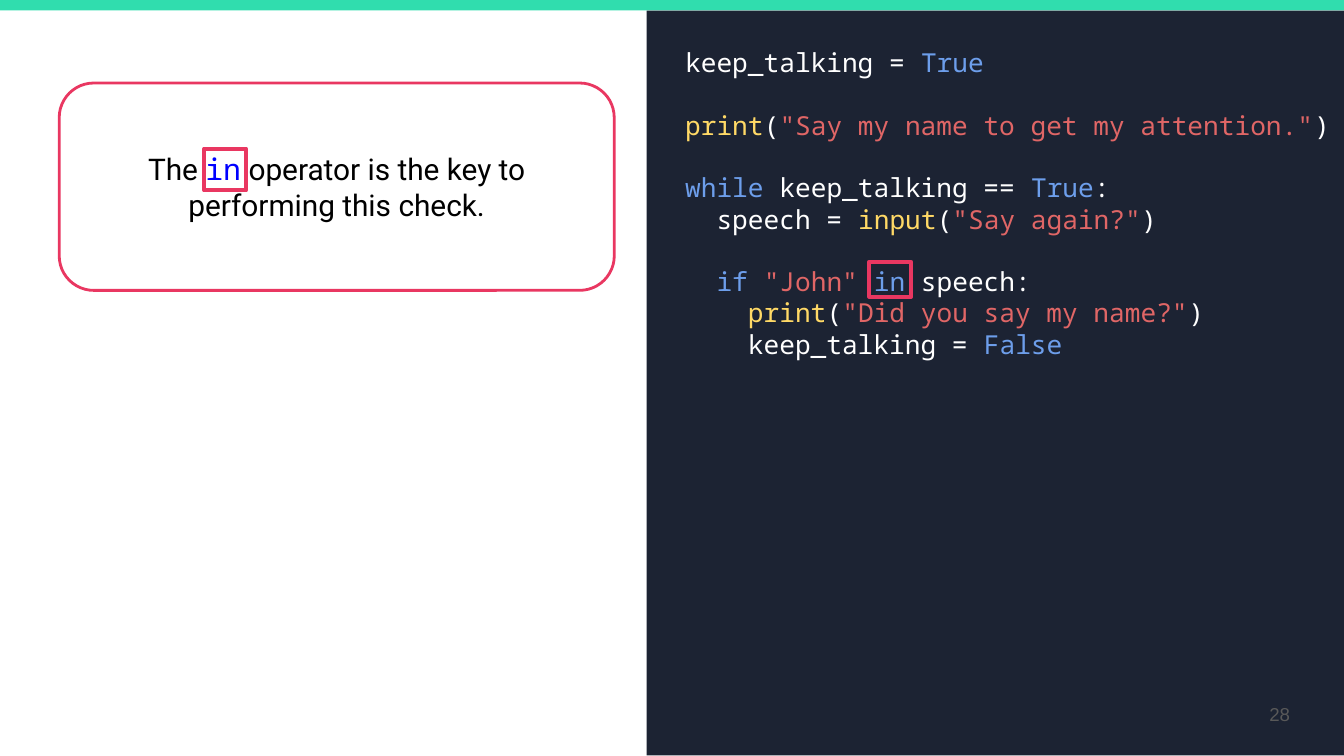
from dataclasses import dataclass

from pptx import Presentation
from pptx.dml.color import RGBColor
from pptx.enum import shapes, text
from pptx.util import Cm, Pt


@dataclass(frozen=True)
class Theme:
    mint: str = "30DDAE"
    navy: str = "1C2333"
    pink: str = "E93761"
    white: str = "FFFFFF"
    black: str = "000000"
    link: str = "0000FF"
    grey: str = "595959"
    blue: str = "6D9EEB"
    gold: str = "FFD966"
    red: str = "E06666"
    sans: str = "Roboto"
    mono: str = "Noto Sans Mono"
    plain: str = "Arial"
    body: int = 16
    code: int = 14
    small: int = 10


T = Theme()
RECT = shapes.MSO_SHAPE.RECTANGLE
ROUND = shapes.MSO_SHAPE.ROUNDED_RECTANGLE

# Each line: gap before it, then (text, colour) pieces
CODE = [
    (False, [("keep_talking = ", T.white), ("True", T.blue)]),
    (True, [("print", T.gold), ("(", T.white),
            ('"Say my name to get my attention."', T.red), (")", T.white)]),
    (True, [("while", T.blue), (" keep_talking == ", T.white),
            ("True", T.blue), (":", T.white)]),
    (False, [("  speech = ", T.white), ("input", T.gold), ("(", T.white),
             ('"Say again?"', T.red), (")", T.white)]),
    (True, [("  if ", T.blue), ('"John" ', T.red), ("in", T.blue),
            (" speech:", T.white)]),
    (False, [("    print", T.gold), ("(", T.white),
             ('"Did you say my name?"', T.red), (")", T.white)]),
    (False, [("    keep_talking = ", T.white), ("False", T.blue)]),
]


def paint(font, color, name=None, size=None):
    font.color.rgb = RGBColor.from_string(color)
    if name:
        font.name = name
    if size:
        font.size = Pt(size)


def block(slide, box, fill=None, line=None, width=1.5, kind=RECT):
    shape = slide.shapes.add_shape(kind, *map(Cm, box))
    shape.shadow.inherit = False
    if fill:
        shape.fill.solid()
        shape.fill.fore_color.rgb = RGBColor.from_string(fill)
    else:
        shape.fill.background()
    if line:
        shape.line.color.rgb = RGBColor.from_string(line)
        shape.line.width = Pt(width)
    else:
        shape.line.fill.background()
    return shape


def frame(shape, anchor):
    """Prepare the text area of a shape and return it."""
    area = shape.text_frame
    area.word_wrap = True
    area.vertical_anchor = anchor
    area.margin_left = area.margin_right = Cm(0.25)
    area.margin_top = area.margin_bottom = Cm(0.25)
    return area


def mark(slide, box):
    """Outline a word."""
    block(slide, box, line=T.pink, width=2.25)


def note(slide, box):
    left, top, _, _ = box
    card = block(slide, box, T.white, T.pink, kind=ROUND)
    para = frame(card, text.MSO_ANCHOR.MIDDLE).paragraphs[0]
    para.alignment = text.PP_ALIGN.CENTER
    para.font.size = Pt(T.body)
    for words, name, color in (
        ("The ", T.sans, T.black),
        ("in", T.mono, T.link),
        (" operator is the key to performing this check.", T.sans, T.black),
    ):
        run = para.add_run()
        run.text = words
        paint(run.font, color, name)
    mark(slide, (left + 2.74, top + 1.24, 0.79, 0.79))


def code(slide, box):
    left, top, wide, high = box
    block(slide, box, T.navy)
    pane = slide.shapes.add_textbox(
        Cm(left + 0.48), Cm(top + 0.43), Cm(wide - 0.5), Cm(high - 1.75))
    area = frame(pane, text.MSO_ANCHOR.TOP)
    for i, (gap, parts) in enumerate(CODE):
        para = area.add_paragraph() if i else area.paragraphs[0]
        para.font.name = T.mono
        para.font.size = Pt(T.code)
        if gap:
            para.space_before = Pt(16.7)
        for words, color in parts:
            run = para.add_run()
            run.text = words
            paint(run.font, color)
    mark(slide, (left + 4.21, top + 4.75, 0.79, 0.66))


def folio(slide, box):
    """Place the page number."""
    label = slide.shapes.add_textbox(*map(Cm, box))
    para = frame(label, text.MSO_ANCHOR.MIDDLE).paragraphs[0]
    para.text = "28"
    para.alignment = text.PP_ALIGN.RIGHT
    paint(para.font, T.grey, T.plain, T.small)


def main():
    deck = Presentation()
    deck.slide_width, deck.slide_height = Cm(25.4), Cm(14.29)
    slide = deck.slides.add_slide(deck.slide_layouts[6])
    block(slide, (0, 0, 25.4, 0.2), T.mint)
    note(slide, (1.12, 1.57, 10.49, 3.92))
    code(slide, (12.22, 0.2, 13.2, 14.08))
    folio(slide, (23.11, 12.95, 1.52, 1.09))
    deck.save("out.pptx")


if __name__ == "__main__":
    main()
